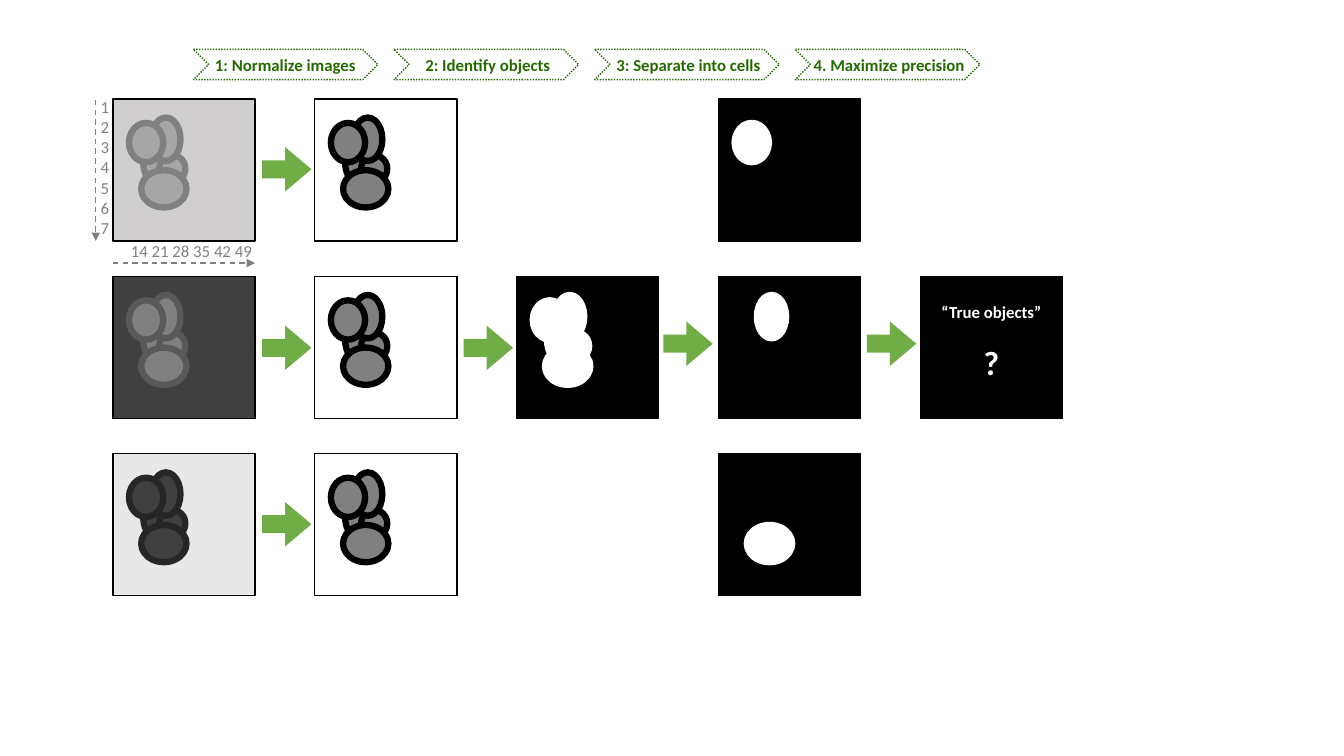
from lxml import etree
from pptx import Presentation
from pptx.dml.color import RGBColor
from pptx.enum.dml import MSO_LINE
from pptx.enum.shapes import MSO_CONNECTOR, MSO_SHAPE
from pptx.enum.text import MSO_ANCHOR, MSO_AUTO_SIZE, PP_ALIGN
from pptx.oxml.ns import qn
from pptx.util import Pt

RECT, OVAL = MSO_SHAPE.RECTANGLE, MSO_SHAPE.OVAL
CHEVRON, ARROW = MSO_SHAPE.CHEVRON, MSO_SHAPE.RIGHT_ARROW
STRAIGHT = MSO_CONNECTOR.STRAIGHT
DOT, DASH = MSO_LINE.ROUND_DOT, MSO_LINE.DASH
LEFT, CENTER = PP_ALIGN.LEFT, PP_ALIGN.CENTER
TOP, MIDDLE = MSO_ANCHOR.TOP, MSO_ANCHOR.MIDDLE
GROW = MSO_AUTO_SIZE.SHAPE_TO_FIT_TEXT

BLACK, WHITE, GRAY = "000000", "FFFFFF", "808080"
DARK, GREEN = "246B01", "70AD47"

SIDE = 101.5
COLS = [80.64 + 144.2 * i for i in range(5)]
ROWS = [70.6 + 126.7 * i for i in range(3)]

# Cell ovals, back to front, measured from a panel's corner
CELLS = [
    (21.6, 28.3, 18, 32.4),
    (33.1, 40.2, 18.7, 19.4),
    (27.4, 13.4, 20.9, 31),
    (11.5, 17.2, 24.5, 28.1),
    (20.2, 51, 32.4, 26.6),
]
UPPER, ROUND, LOWER = CELLS[2:]

STEPS = ["1: Normalize images ", "2: Identify objects",
         "3: Separate into cells", "4. Maximize precision"]
# Panel fill, cell fill and cell outline of each input image
INPUTS = [("D0CECE", "A6A6A6", GRAY),
          ("404040", GRAY, "595959"),
          ("E8E8E8", "404040", "262626")]
ARROWS = [(187.2, 105.1), (187.2, 232.6), (187.2, 358.6),
          (331.2, 232.6), (473.8, 229.7), (619.2, 229.7)]


def color(code):
    return RGBColor.from_string(code)


def shape(slide, kind, box, fill=None, line=None, width=1):
    item = slide.shapes.add_shape(kind, *map(Pt, box))
    item.shadow.inherit = False
    if fill:
        item.fill.solid()
        item.fill.fore_color.rgb = color(fill)
    else:
        item.fill.background()
    if line:
        item.line.color.rgb = color(line)
        item.line.width = Pt(width)
    else:
        item.line.fill.background()
    return item


def panel(slide, col, row, back, cells, fill, line):
    """Draw a square image with the given cells in it."""
    x, y = COLS[col], ROWS[row]
    shape(slide, RECT, (x, y, SIDE, SIDE), back, BLACK)
    for dx, dy, w, h in cells:
        shape(slide, OVAL, (x + dx, y + dy, w, h), fill, line, 4.5)


def text(slide, box, words, code, bold=False, align=LEFT, anchor=TOP):
    frame = slide.shapes.add_textbox(*map(Pt, box)).text_frame
    frame.word_wrap = False
    frame.auto_size = GROW
    frame.vertical_anchor = anchor
    frame.text = words
    for para in frame.paragraphs:
        para.alignment = align
        for run in para.runs:
            run.font.name = "Calibri"
            run.font.size = Pt(12)
            run.font.bold = bold
            run.font.color.rgb = color(code)
    return frame


def axis(slide, x1, y1, x2, y2):
    """Draw a dashed line with an arrowhead at its end."""
    link = slide.shapes.add_connector(STRAIGHT, Pt(x1), Pt(y1), Pt(x2), Pt(y2))
    link.line.color.rgb = color(GRAY)
    link.line.width = Pt(1)
    link.line.dash_style = DASH
    tail = etree.SubElement(link.line._get_or_add_ln(), qn("a:tailEnd"))
    tail.set("type", "triangle")
    etree.SubElement(link._element.spPr, qn("a:effectLst"))


def step(slide, index, words):
    x = 138.2 + 143.3 * index
    chevron = shape(slide, CHEVRON, (x, 35.3, 131.8, 21.6), None, DARK)
    chevron.line.dash_style = DOT
    text(slide, (x + 5, 35.3, 124, 21.6), words, DARK, True, CENTER, MIDDLE)


def main():
    deck = Presentation()
    deck.slide_width, deck.slide_height = Pt(960), Pt(540)
    slide = deck.slides.add_slide(deck.slide_layouts[6])

    for index, words in enumerate(STEPS):
        step(slide, index, words)

    for row, (back, fill, line) in enumerate(INPUTS):
        panel(slide, 0, row, back, CELLS, fill, line)
        panel(slide, 1, row, WHITE, CELLS, GRAY, BLACK)
    panel(slide, 2, 1, BLACK, CELLS, WHITE, WHITE)
    for row, cell in enumerate([ROUND, UPPER, LOWER]):
        panel(slide, 3, row, BLACK, [cell], WHITE, WHITE)
    panel(slide, 4, 1, BLACK, [], WHITE, WHITE)

    axis(slide, 68.4, 71.3, 68.4, 172.1)
    axis(slide, COLS[0], 187.9, COLS[0] + SIDE, 187.9)
    digits = "\n".join(str(n) for n in range(1, 8))
    text(slide, (64.8, 65.5, 20.9, 108.7), digits, GRAY)
    text(slide, (86.4, 168.5, 103, 21.6), "14 21 28 35 42 49", GRAY)

    for x, y in ARROWS:
        arrow = shape(slide, ARROW, (x, y, 35.3, 31.7), GREEN)
        arrow.adjustments[0], arrow.adjustments[1] = 0.406, 0.594

    truth = text(slide, (664.6, 211.7, 87.1, 65.5), "“True objects”\n?",
                 WHITE, True, CENTER)
    mark = truth.paragraphs[1]
    mark.space_before = Pt(14.6)
    mark.runs[0].font.size = Pt(24)

    deck.save("out.pptx")


if __name__ == "__main__":
    main()
